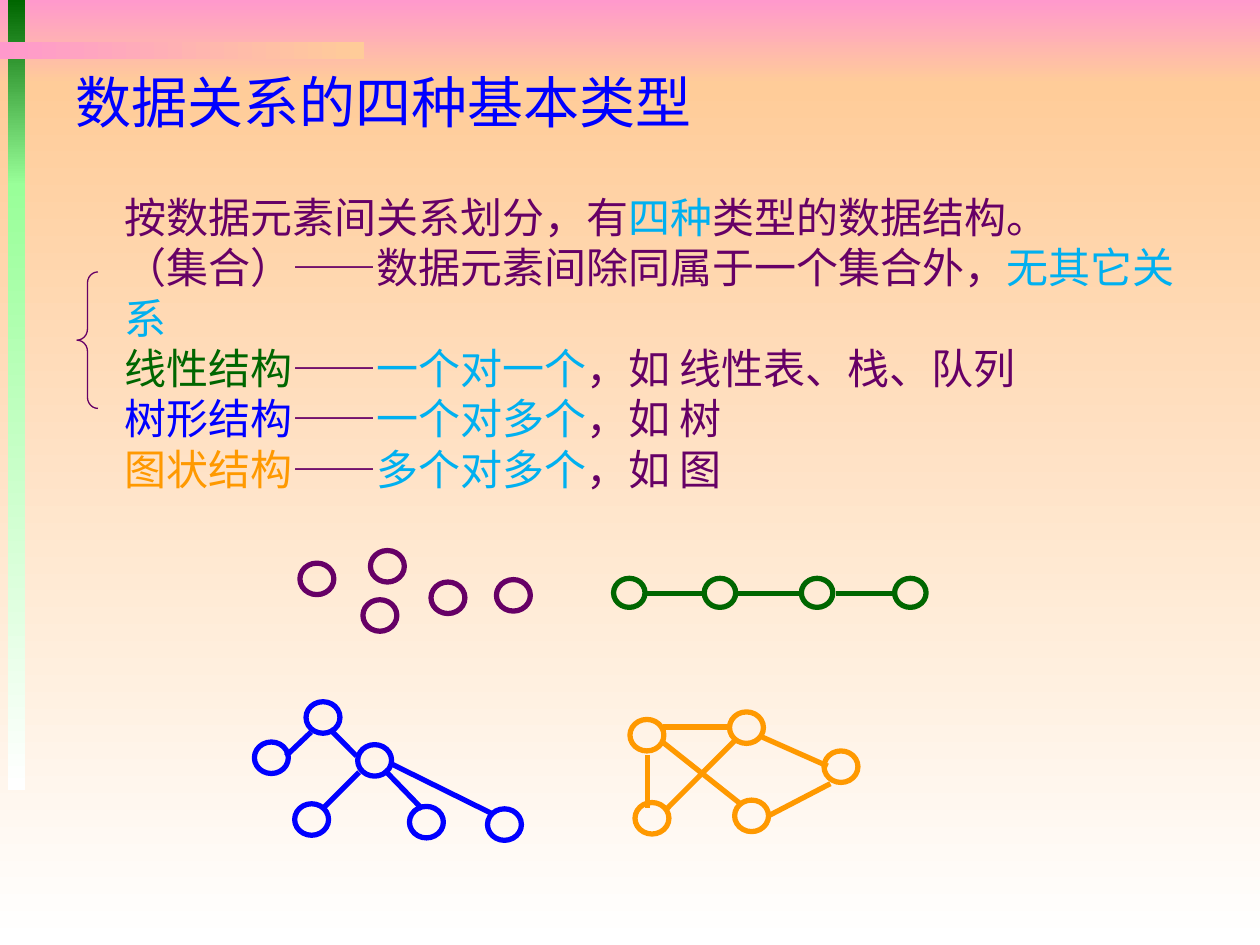
import pptx
import pptx.dml.color
import pptx.enum.shapes
import pptx.enum.text
import pptx.util
from lxml import etree

Pt = pptx.util.Pt
SHAPE = pptx.enum.shapes.MSO_SHAPE
PURPLE, GREEN, BLUE, ORANGE, CYAN = "660066", "006600", "0000FF", "FF9900", "00B0F0"
PINK, PEACH, LIME, WHITE = "FF99CC", "FFCC99", "99FF99", "FFFFFF"
DOWN, RIGHT = 270, 0


def color(value):
    """Turn a hex string into a colour."""
    return pptx.dml.color.RGBColor.from_string(value)


def add_band(slide, box, start, end, angle):
    """Add a borderless rectangle with a two-colour gradient."""
    shape = slide.shapes.add_shape(SHAPE.RECTANGLE, *map(Pt, box))
    shape.shadow.inherit = False
    shape.line.fill.background()
    shape.fill.gradient()
    shape.fill.gradient_angle = angle
    for stop, value in zip(shape.fill.gradient_stops, (start, end)):
        stop.color.rgb = color(value)


def add_outline(slide, kind, box, line_color, width):
    """Add an unfilled preset shape."""
    shape = slide.shapes.add_shape(kind, *map(Pt, box))
    shape.shadow.inherit = False
    shape.fill.background()
    shape.line.color.rgb = color(line_color)
    shape.line.width = Pt(width)
    return shape


def add_edge(slide, start, end, line_color):
    """Add a straight line between two points."""
    connector = slide.shapes.add_connector(
        pptx.enum.shapes.MSO_CONNECTOR.STRAIGHT, *map(Pt, (*start, *end)))
    connector.line.color.rgb = color(line_color)
    connector.line.width = Pt(3)
    properties = connector._element.spPr
    etree.SubElement(properties, pptx.oxml.ns.qn("a:effectLst"))


def add_text(slide, box, paragraphs, font_name, size, indent=0):
    """Add a wrapped text box from paragraphs of (text, colour) runs."""
    left, top, width, height = box
    frame = slide.shapes.add_textbox(*map(Pt, box)).text_frame
    frame.word_wrap = True
    frame.vertical_anchor = pptx.enum.text.MSO_ANCHOR.TOP
    frame.margin_left = Pt(7.2 + indent)
    for index, runs in enumerate(paragraphs):
        paragraph = frame.add_paragraph() if index else frame.paragraphs[0]
        for text, value in runs:
            run = paragraph.add_run()
            run.text = text
            run.font.name = font_name
            run.font.size = Pt(size)
            run.font.color.rgb = color(value)


def add_backdrop(slide, box):
    """Add the background and the decorative bars."""
    left, top, width, height = box
    add_band(slide, (left, top, width, 48), PINK, PEACH, DOWN)
    add_band(slide, (left, top + 48, width, height - 48), PEACH, WHITE, DOWN)
    add_band(slide, (left + 4.3, top, 10, 106), GREEN, LIME, DOWN)
    add_band(slide, (left + 4.3, top + 105.5, 10, 346), LIME, WHITE, DOWN)
    add_band(slide, (left, top + 24, 208, 10), PINK, PEACH, RIGHT)


def add_definitions(slide, box):
    """Add the list of structure types and its brace."""
    left, top, width, height = box
    structures = [
        ("线性结构", GREEN, "一个对一个", "，如 线性表、栈、队列"),
        ("树形结构", BLUE, "一个对多个", "，如 树"),
        ("图状结构", ORANGE, "多个对多个", "，如 图"),
    ]
    paragraphs = [
        [("按数据元素间关系划分，有", PURPLE), ("四种", CYAN), ("类型的数据结构。", PURPLE)],
        [("（集合）——数据元素间除同属于一个集合外，", PURPLE), ("无其它关系", CYAN)],
    ]
    for name, name_color, relation, example in structures:
        paragraphs.append([(name, name_color), ("——", PURPLE),
                           (relation, CYAN), (example, PURPLE)])
    add_text(slide, (left + 20, top, width - 20, height), paragraphs, "Times New Roman", 24)
    brace = add_outline(slide, SHAPE.LEFT_BRACE, (left, top + 49.6, 12, 78), PURPLE, 0.75)
    brace.adjustments[0] = 0.53


def add_diagram(slide, box, nodes, edges, line_color, node_size=(19.4, 18)):
    """Add circles and lines given as offsets from the corner of the box."""
    left, top = box
    for x, y in nodes:
        add_outline(slide, SHAPE.OVAL, (left + x, top + y, *node_size), line_color, 3)
    for x1, y1, x2, y2 in edges:
        add_edge(slide, (left + x1, top + y1), (left + x2, top + y2), line_color)


def main():
    """Build and save the presentation."""
    presentation = pptx.Presentation()
    presentation.slide_width, presentation.slide_height = Pt(720), Pt(540)
    slide = presentation.slides.add_slide(presentation.slide_layouts[6])
    add_backdrop(slide, (0, 0, 720, 540))
    add_definitions(slide, (44, 105.8, 639.4, 151))
    add_diagram(slide, (171.4, 314.6),
                [(0, 7.2), (40.3, 0), (36, 28.1), (74.9, 18), (112.3, 16.6)], [], PURPLE)
    add_diagram(slide, (350.6, 330.5),
                [(x, 0) for x in (0, 51.8, 107.3, 160.6)],
                [(x1, 8.5, x2, 8.5) for x1, x2 in ((18, 51.1), (69.1, 108), (127.4, 159.8))],
                GREEN, (18, 16.6))
    add_diagram(slide, (145.4, 401),
                [(29.5, 0), (0, 23), (59, 24.5), (23, 58.3), (88.6, 59.8), (133.2, 61.2)],
                [(32.4, 17.3, 18, 31), (59.8, 40.3, 38.9, 61.2), (43.2, 15.8, 58.3, 31),
                 (74.2, 38.9, 95.8, 61.2), (77.8, 35.3, 136.1, 64.1)], BLUE)
    add_diagram(slide, (360, 406.8),
                [(56.9, 0), (2.9, 51.8), (59.8, 50.4), (110.9, 22.3), (0, 4.3)],
                [(10.1, 24.5, 10.1, 54.7), (18.7, 17.3, 64.1, 53.3), (75.6, 14.4, 113, 31),
                 (60.5, 15.8, 20.2, 56.2), (114.5, 41, 79.9, 59), (18.7, 8.6, 57.6, 8.6)],
                ORANGE)
    add_text(slide, (0, 35.3, 720, 58.3), [[("数据关系的四种基本类型", BLUE)]], "Arial", 32, 36)
    presentation.save("out.pptx")


if __name__ == "__main__":
    main()
